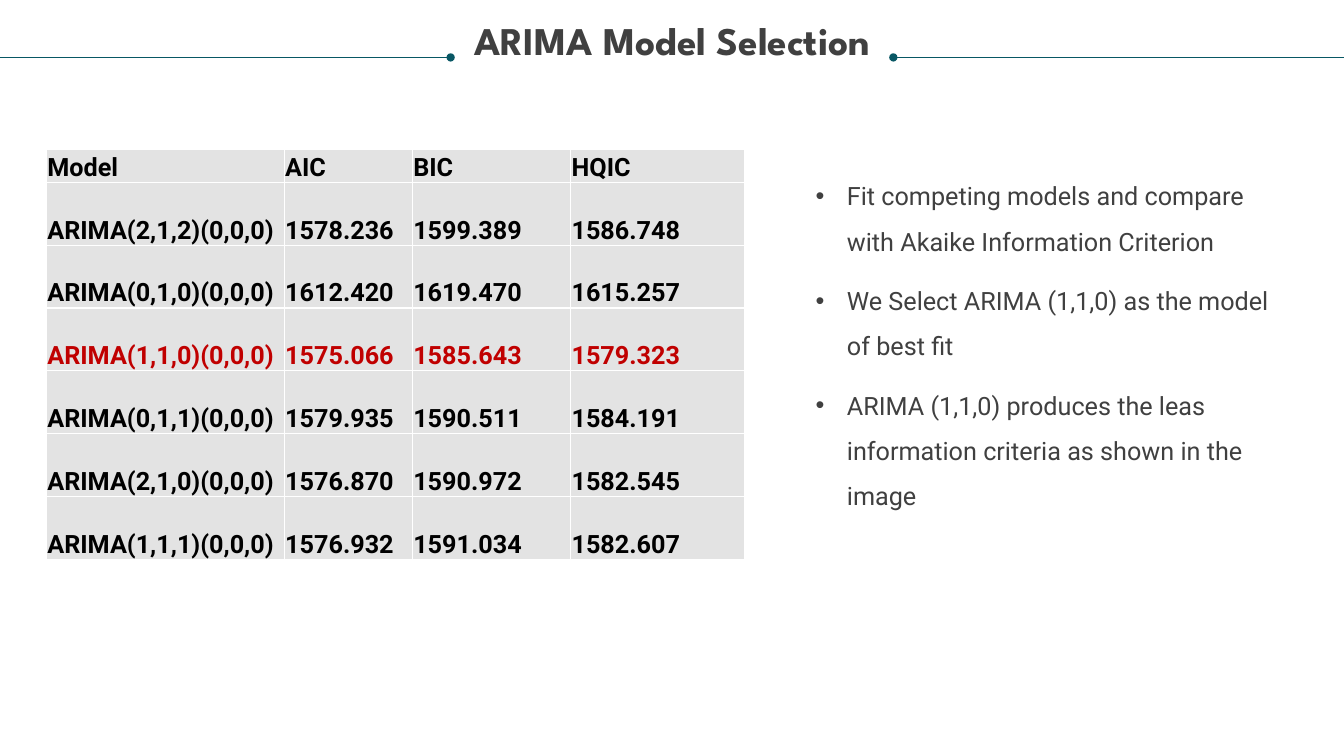
import dataclasses

import lxml.etree
import pptx
import pptx.dml.color
import pptx.enum.shapes
import pptx.enum.text
import pptx.oxml.ns
import pptx.util

RGBColor = pptx.dml.color.RGBColor
TEAL = RGBColor(0x08, 0x57, 0x64)
CHARCOAL = RGBColor(0x40, 0x40, 0x40)
BLACK = RGBColor(0x00, 0x00, 0x00)
RED = RGBColor(0xC0, 0x00, 0x00)
LIGHT_GREY = RGBColor(0xE3, 0xE3, 0xE3)
WHITE = RGBColor(0xFF, 0xFF, 0xFF)

PAGE_WIDTH = pptx.util.Inches(13.33)
PAGE_HEIGHT = pptx.util.Inches(7.5)


@dataclasses.dataclass(frozen=True)
class Area:
    """A rectangle in percent of the slide's width and height."""
    left: float
    top: float
    width: float
    height: float


@dataclasses.dataclass(frozen=True)
class TextStyle:
    font: str
    size: float
    color: RGBColor
    bold: bool = False


@dataclasses.dataclass(frozen=True)
class Rule:
    """A title rule; dot_end is the line end that carries the dot."""
    start: float
    end: float
    dot_end: str


@dataclasses.dataclass(frozen=True)
class ModelRow:
    values: tuple[str, ...]
    height: float = 8.31
    color: RGBColor = BLACK


TITLE_STYLE = TextStyle("League Spartan", 28, CHARCOAL, True)
BULLET_STYLE = TextStyle("Roboto", 18, CHARCOAL)

TITLE_AREA = Area(1.88, 2.8, 96.25, 5.6)
BULLET_AREA = Area(60.69, 21.87, 35.03, 45.6)
RULE_TOP = 7.6
RULES = (Rule(66.47, 100, "headEnd"), Rule(0, 33.53, "tailEnd"))

TABLE_LEFT, TABLE_TOP = 3.45, 19.73
COLUMN_WIDTHS = (17.7, 9.53, 11.78, 12.98)
MODEL_ROWS = (
    ModelRow(("Model", "AIC", "BIC", "HQIC"), height=4.4),
    ModelRow(("ARIMA(2,1,2)(0,0,0)", "1578.236", "1599.389", "1586.748")),
    ModelRow(("ARIMA(0,1,0)(0,0,0)", "1612.420", "1619.470", "1615.257")),
    ModelRow(("ARIMA(1,1,0)(0,0,0)", "1575.066", "1585.643", "1579.323"), color=RED),
    ModelRow(("ARIMA(0,1,1)(0,0,0)", "1579.935", "1590.511", "1584.191")),
    ModelRow(("ARIMA(2,1,0)(0,0,0)", "1576.870", "1590.972", "1582.545")),
    ModelRow(("ARIMA(1,1,1)(0,0,0)", "1576.932", "1591.034", "1582.607")),
)
BULLETS = (
    "Fit competing models and compare with Akaike Information Criterion",
    "We Select ARIMA (1,1,0) as the model of best fit",
    "ARIMA (1,1,0) produces the leas information criteria as shown in the image",
)


def across(percent: float) -> int:
    return round(PAGE_WIDTH * percent / 100)


def down(percent: float) -> int:
    return round(PAGE_HEIGHT * percent / 100)


def add_child(parent, tag: str, **attributes: str):
    return lxml.etree.SubElement(parent, pptx.oxml.ns.qn(tag), attributes)


def add_run(para, text: str, style: TextStyle) -> None:
    span = para.add_run()
    span.text = text
    span.font.name = style.font
    span.font.size = pptx.util.Pt(style.size)
    span.font.bold = style.bold
    span.font.color.rgb = style.color


def add_text_frame(page, area: Area):
    box = page.shapes.add_textbox(
        across(area.left), down(area.top), across(area.width), down(area.height))
    frame = box.text_frame
    frame.word_wrap = True
    frame.margin_left = frame.margin_right = frame.margin_top = frame.margin_bottom = 0
    return frame


def add_title(page, text: str) -> None:
    para = add_text_frame(page, TITLE_AREA).paragraphs[0]
    para.alignment = pptx.enum.text.PP_ALIGN.CENTER
    para.line_spacing = 0.9
    add_run(para, text, TITLE_STYLE)


def add_rule(page, rule: Rule) -> None:
    line = page.shapes.add_connector(
        pptx.enum.shapes.MSO_CONNECTOR.STRAIGHT,
        across(rule.start), down(RULE_TOP), across(rule.end), down(RULE_TOP))
    line.line.color.rgb = TEAL
    line.line.width = pptx.util.Pt(0.5)
    add_child(line.line._get_or_add_ln(), f"a:{rule.dot_end}", type="oval")
    add_child(line._element.spPr, "a:effectLst")


def add_bullets(page, texts: tuple[str, ...]) -> None:
    frame = add_text_frame(page, BULLET_AREA)
    indent = pptx.util.Inches(0.31)
    for index, text in enumerate(texts):
        para = frame.add_paragraph() if index else frame.paragraphs[0]
        para.line_spacing = 1.5
        para.space_before = pptx.util.Pt(10)
        properties = para._p.get_or_add_pPr()
        properties.set("marL", str(indent))
        properties.set("indent", str(-indent))
        add_child(properties, "a:buFont", typeface="Arial")
        add_child(properties, "a:buChar", char="•")
        add_run(para, text, BULLET_STYLE)


def add_borders(cell) -> None:
    properties = cell._tc.get_or_add_tcPr()
    for position, side in enumerate(("lnL", "lnR", "lnT", "lnB")):
        border = add_child(properties, f"a:{side}", w=str(pptx.util.Pt(1)))
        add_child(add_child(border, "a:solidFill"), "a:srgbClr", val=str(WHITE))
        properties.insert(position, border)  # borders come before the fill


def fill_cell(cell, text: str, color: RGBColor) -> None:
    cell.fill.solid()
    cell.fill.fore_color.rgb = LIGHT_GREY
    cell.vertical_anchor = pptx.enum.text.MSO_ANCHOR.BOTTOM
    cell.margin_left = cell.margin_right = cell.margin_top = pptx.util.Inches(0.01)
    cell.margin_bottom = 0
    add_borders(cell)
    add_run(cell.text_frame.paragraphs[0], text, TextStyle("Roboto", 18, color, True))


def add_model_table(page) -> None:
    table = page.shapes.add_table(
        len(MODEL_ROWS), len(COLUMN_WIDTHS), across(TABLE_LEFT), down(TABLE_TOP),
        across(sum(COLUMN_WIDTHS)), down(sum(row.height for row in MODEL_ROWS))).table
    for column, width in zip(table.columns, COLUMN_WIDTHS):
        column.width = across(width)
    for table_row, model in zip(table.rows, MODEL_ROWS):
        table_row.height = down(model.height)
        for cell, value in zip(table_row.cells, model.values):
            fill_cell(cell, value, model.color)


def main() -> None:
    deck = pptx.Presentation()
    deck.slide_width, deck.slide_height = PAGE_WIDTH, PAGE_HEIGHT
    page = deck.slides.add_slide(deck.slide_layouts[6])

    # Title between two dotted rules
    add_title(page, "ARIMA Model Selection")
    for rule in RULES:
        add_rule(page, rule)

    # Findings on the right, criteria table on the left
    add_bullets(page, BULLETS)
    add_model_table(page)

    deck.save("out.pptx")


if __name__ == "__main__":
    main()
